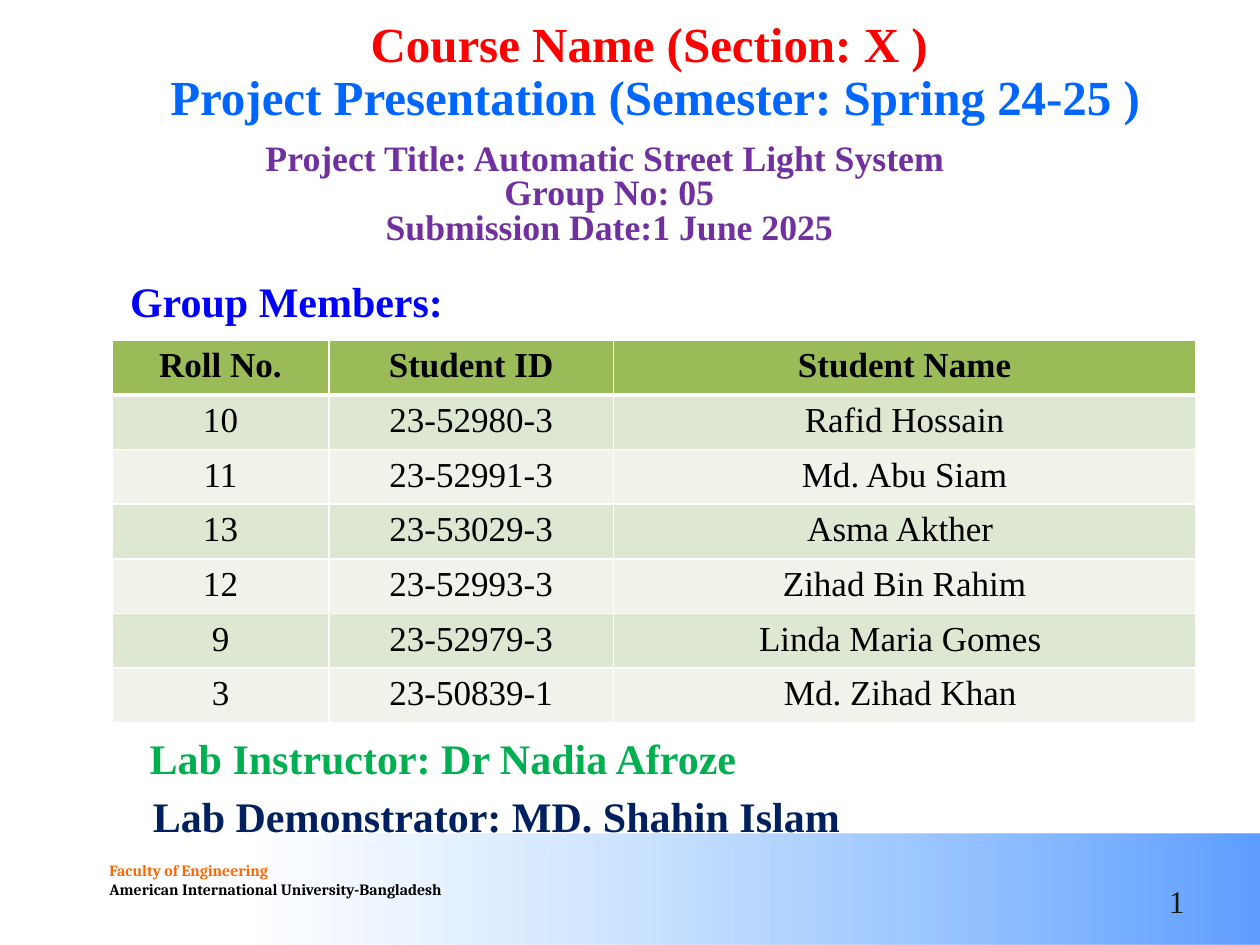
from lxml.etree import SubElement
from pptx import Presentation
from pptx.dml.color import RGBColor
from pptx.enum.shapes import MSO_SHAPE
from pptx.enum.text import MSO_ANCHOR, MSO_AUTO_SIZE, PP_ALIGN
from pptx.oxml.ns import qn
from pptx.util import Inches, Pt

RED = RGBColor(0xFF, 0x00, 0x00)
SKY = RGBColor(0x00, 0x66, 0xFF)
PURPLE = RGBColor(0x70, 0x30, 0xA0)
BLUE = RGBColor(0x00, 0x00, 0xFF)
GREEN = RGBColor(0x00, 0xB0, 0x50)
NAVY = RGBColor(0x00, 0x20, 0x60)
ORANGE = RGBColor(0xFF, 0x66, 0x00)
BLACK = RGBColor(0x00, 0x00, 0x00)
DARK = RGBColor(0x19, 0x1B, 0x0E)
WHITE = RGBColor(0xFF, 0xFF, 0xFF)
HEADER_FILL = RGBColor(0x9B, 0xBB, 0x59)
BAND_FILLS = [RGBColor(0xDE, 0xE7, 0xD1), RGBColor(0xEF, 0xF3, 0xEA)]
# Position in percent, colour, opacity in percent
FOOTER_STOPS = [
    (0, RGBColor(0x5E, 0x9E, 0xFF), 100),
    (80, RGBColor(0x85, 0xC2, 0xFF), 0),
    (100, RGBColor(0x85, 0xC2, 0xFF), 0),
]
SERIF = "Times New Roman"

TITLE = [
    ("Course Name (Section: X ) ", RED),
    ("Project Presentation (Semester: Spring 24-25 )", SKY),
]
PROJECT = [
    ("Project Title: Automatic Street Light System ", PURPLE),
    ("Group No: 05", PURPLE),
    ("Submission Date:1 June 2025", PURPLE),
]
FOOTER = [
    ("Faculty of Engineering", ORANGE),
    ("American International University-Bangladesh", BLACK),
]
LABELS = [
    ("Group Members:", BLUE, (0.61, 2.17, 3.33, 0.46)),
    ("Lab Instructor: Dr Nadia Afroze", GREEN, (0.89, 5.8, 5.25, 0.46)),
    ("Lab Demonstrator: MD. Shahin Islam", NAVY, (1.01, 6.26, 5.86, 0.46)),
]
MEMBERS = [
    ("Roll No.", "Student ID", "Student Name"),
    ("10", "23-52980-3", "Rafid Hossain"),
    ("11", "23-52991-3", "Md. Abu Siam"),
    ("13", "23-53029-3", "Asma Akther "),
    ("12", "23-52993-3", "Zihad Bin Rahim"),
    ("9", "23-52979-3", "Linda Maria Gomes "),
    ("3", "23-50839-1", "Md. Zihad Khan "),
]
COLUMN_WIDTHS = [1.72, 2.26, 4.62]
ROW_HEIGHT = 0.43


def write(frame, lines, size, font=SERIF, bold=True, align=PP_ALIGN.CENTER, spacing=1.0):
    for index, (text, color) in enumerate(lines):
        para = frame.paragraphs[0] if index == 0 else frame.add_paragraph()
        para.alignment = align
        para.line_spacing = spacing
        para.space_before = Pt(0)
        span = para.add_run()
        span.text = text
        span.font.name = font
        span.font.size = Pt(size)
        span.font.bold = bold
        span.font.color.rgb = color


def fit_heading(box, place):
    """Place a heading box, with its text sitting on the bottom edge."""
    box.left, box.top, box.width, box.height = map(Inches, place)
    frame = box.text_frame
    frame.word_wrap = True
    frame.auto_size = MSO_AUTO_SIZE.NONE
    frame.vertical_anchor = MSO_ANCHOR.BOTTOM
    frame.margin_left = frame.margin_right = Inches(0.07)
    frame.margin_top = frame.margin_bottom = Inches(0.04)
    return frame


def add_footer_band(page):
    band = page.shapes.add_shape(
        MSO_SHAPE.RECTANGLE, 0, Inches(6.62), Inches(10), Inches(0.88))
    band.shadow.inherit = False
    band.line.fill.background()
    band.fill.gradient()
    band.fill.gradient_angle = 180
    stops = next(band.element.iter(qn("a:gsLst")))
    for stop in list(stops):
        stops.remove(stop)
    for position, color, opacity in FOOTER_STOPS:
        stop = SubElement(stops, qn("a:gs"), pos=str(position * 1000))
        tint = SubElement(stop, qn("a:srgbClr"), val=str(color))
        SubElement(tint, qn("a:alpha"), val=str(opacity * 1000))


def set_borders(cell, bottom):
    properties = cell._tc.get_or_add_tcPr()
    widths = {"a:lnL": 1, "a:lnR": 1, "a:lnT": 1, "a:lnB": bottom}
    for index, (side, width) in enumerate(widths.items()):
        line = SubElement(properties, qn(side), w=str(Pt(width)))
        fill = SubElement(line, qn("a:solidFill"))
        SubElement(fill, qn("a:srgbClr"), val=str(WHITE))
        properties.insert(index, line)


def add_members_table(page):
    table = page.shapes.add_table(
        len(MEMBERS), len(COLUMN_WIDTHS), Inches(0.89), Inches(2.7),
        Inches(sum(COLUMN_WIDTHS)), Inches(ROW_HEIGHT * len(MEMBERS))).table
    for column, width in zip(table.columns, COLUMN_WIDTHS):
        column.width = Inches(width)
    for row, values in enumerate(MEMBERS):
        header = row == 0
        for column, text in enumerate(values):
            cell = table.cell(row, column)
            cell.fill.solid()
            cell.fill.fore_color.rgb = HEADER_FILL if header else BAND_FILLS[(row - 1) % 2]
            set_borders(cell, bottom=3 if header else 1)
            write(cell.text_frame, [(text, BLACK)], 20, bold=header)


def main():
    deck = Presentation()
    deck.slide_width, deck.slide_height = Inches(10), Inches(7.5)
    page = deck.slides.add_slide(deck.slide_layouts[0])

    title, project = page.placeholders
    write(fit_heading(title, (1.25, 0.08, 7.9, 0.96)), TITLE, 28, spacing=0.9)
    write(fit_heading(project, (2.01, 1.04, 5.65, 0.96)), PROJECT, 20.4, spacing=0.8)

    add_footer_band(page)
    footer = page.shapes.add_textbox(Inches(0.77), Inches(6.78), Inches(2.91), Inches(0.4))
    footer.text_frame.word_wrap = False
    write(footer.text_frame, FOOTER, 9, font="Cambria", align=PP_ALIGN.LEFT)

    number = page.shapes.add_textbox(Inches(7.17), Inches(6.95), Inches(2.33), Inches(0.4))
    number.text_frame.word_wrap = True
    number.text_frame.vertical_anchor = MSO_ANCHOR.MIDDLE
    write(number.text_frame, [("1", DARK)], 18, bold=False, align=PP_ALIGN.RIGHT)

    for text, color, place in LABELS:
        label = page.shapes.add_textbox(0, 0, 0, 0)
        write(fit_heading(label, place), [(text, color)], 24, spacing=0.9)

    add_members_table(page)
    deck.save("out.pptx")


if __name__ == "__main__":
    main()
